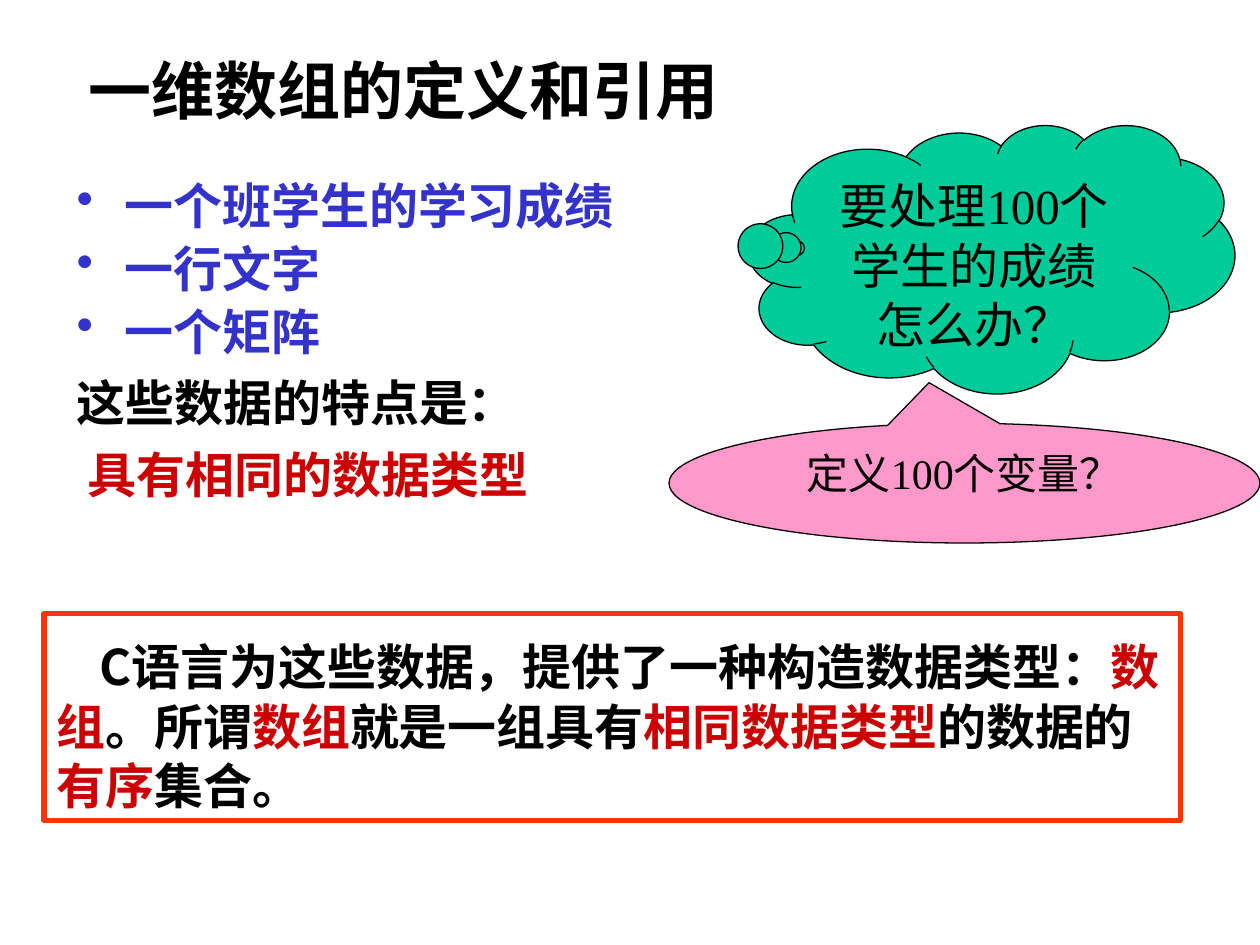
from lxml import etree
from pptx import Presentation
from pptx.dml.color import RGBColor
from pptx.enum import shapes, text
from pptx.oxml import ns
from pptx.util import Inches, Pt

BLACK = RGBColor(0x00, 0x00, 0x00)
RED = RGBColor(0xCC, 0x00, 0x00)
BLUE = RGBColor(0x33, 0x33, 0xCC)
GREEN = RGBColor(0x00, 0xCC, 0x99)
PINK = RGBColor(0xFF, 0x99, 0xCC)
ORANGE = RGBColor(0xFF, 0x33, 0x00)
SANS = "Noto Sans CJK SC"
TITLE_SANS = "Noto Sans CJK JP"
SERIF = "Times New Roman"


def set_frame(shape, **values):
    """Apply wrapping, standard insets and any overriding format values."""
    defaults = {"word_wrap": True, "vertical_anchor": text.MSO_ANCHOR.TOP,
                "margin_left": Inches(0.1), "margin_right": Inches(0.1),
                "margin_top": Inches(0.05), "margin_bottom": Inches(0.05)}
    for name, value in (defaults | values).items():
        setattr(shape.text_frame, name, value)
    return shape.text_frame


def add_runs(paragraph, runs, size, font_name, bold=True):
    """Add (wording, colour) runs, with one typeface for Latin and Chinese."""
    for wording, colour in runs:
        run = paragraph.add_run()
        run.text = wording
        for name, value in {"size": Pt(size), "name": font_name, "bold": bold}.items():
            setattr(run.font, name, value)
        run.font.color.rgb = colour
        if font_name != SERIF:
            east_asian = etree.SubElement(run.font._element, ns.qn("a:ea"))
            east_asian.set("typeface", font_name)


presentation = Presentation()
presentation.slide_width = Inches(10)
presentation.slide_height = Inches(7.5)
slide = presentation.slides.add_slide(presentation.slide_layouts[6])

# Title
title = slide.shapes.add_textbox(Inches(0), Inches(0.36), Inches(9.1), Inches(0.81))
frame = set_frame(title, margin_left=Inches(0.7))
add_runs(frame.paragraphs[0], [("一维数组的定义和引用", BLACK)], 36, TITLE_SANS)

# Definition box
definition = slide.shapes.add_shape(
    shapes.MSO_SHAPE.RECTANGLE, Inches(0.35), Inches(4.87), Inches(9.02), Inches(1.64))
definition.shadow.inherit = False
definition.fill.background()
definition.line.color.rgb = ORANGE
definition.line.width = Pt(3)
frame = set_frame(definition, vertical_anchor=text.MSO_ANCHOR.MIDDLE, margin_top=Inches(0.18))
paragraph = frame.paragraphs[0]
paragraph.alignment = text.PP_ALIGN.LEFT
paragraph.line_spacing = Pt(34)
paragraph._p.get_or_add_pPr().set("indent", str(Inches(0.34)))
add_runs(paragraph, [
    ("C语言为这些数据，提供了一种构造数据类型：", BLACK), ("数组", RED),
    ("。所谓", BLACK), ("数组", RED), ("就是一组具有", BLACK),
    ("相同数据类型", RED), ("的数据的", BLACK), ("有序", RED), ("集合。", BLACK),
], 28, SANS)

# Examples and what they share: wording, colour, bullet, left margin, space before
points = [
    ("一个班学生的学习成绩", BLUE, True, 0.38, 0),
    ("一行文字", BLUE, True, 0.38, 1.8),
    ("一个矩阵", BLUE, True, 0.38, 1.8),
    ("这些数据的特点是：", BLACK, False, 0, 7),
    ("具有相同的数据类型", RED, False, 0.09, 7),
]
examples = slide.shapes.add_textbox(Inches(0.51), Inches(1.31), Inches(7.27), Inches(3.15))
frame = set_frame(examples, margin_top=Inches(0.08))
for index, (wording, colour, bulleted, left, before) in enumerate(points):
    paragraph = frame.add_paragraph() if index else frame.paragraphs[0]
    properties = paragraph._p.get_or_add_pPr()
    properties.set("marL", str(Inches(left)))
    properties.set("indent", str(Inches(-left) if bulleted else 0))
    if bulleted:
        etree.SubElement(properties, ns.qn("a:buChar")).set("char", "•")
    paragraph.line_spacing = Pt(34)
    paragraph.space_before = Pt(before)
    add_runs(paragraph, [(wording, colour)], 28, SANS)

# Callouts: preset, box, pointer, fill, wording, size, line height, top inset
callouts = [
    (shapes.MSO_SHAPE.CLOUD_CALLOUT, (5.94, 0.99, 3.86, 2.13), (-0.4, -0.04),
     GREEN, "要处理100个学生的成绩怎么办？", 28, 34, 0.08),
    (shapes.MSO_SHAPE.OVAL_CALLOUT, (5.31, 3.36, 4.69, 0.95), (-0.06, -0.84),
     PINK, "定义100个变量？", 24, 29, 0.05),
]
for preset, box, pointer, fill, wording, size, line_height, top in callouts:
    callout = slide.shapes.add_shape(preset, *map(Inches, box))
    callout.shadow.inherit = False
    for index, value in enumerate(pointer):
        callout.adjustments[index] = value
    callout.fill.solid()
    callout.fill.fore_color.rgb = fill
    callout.line.color.rgb = BLACK
    callout.line.width = Pt(0.75)
    frame = set_frame(callout, margin_top=Inches(top))
    paragraph = frame.paragraphs[0]
    paragraph.alignment = text.PP_ALIGN.CENTER
    paragraph.line_spacing = Pt(line_height)
    add_runs(paragraph, [(wording, BLACK)], size, SERIF, bold=False)

presentation.save("out.pptx")
